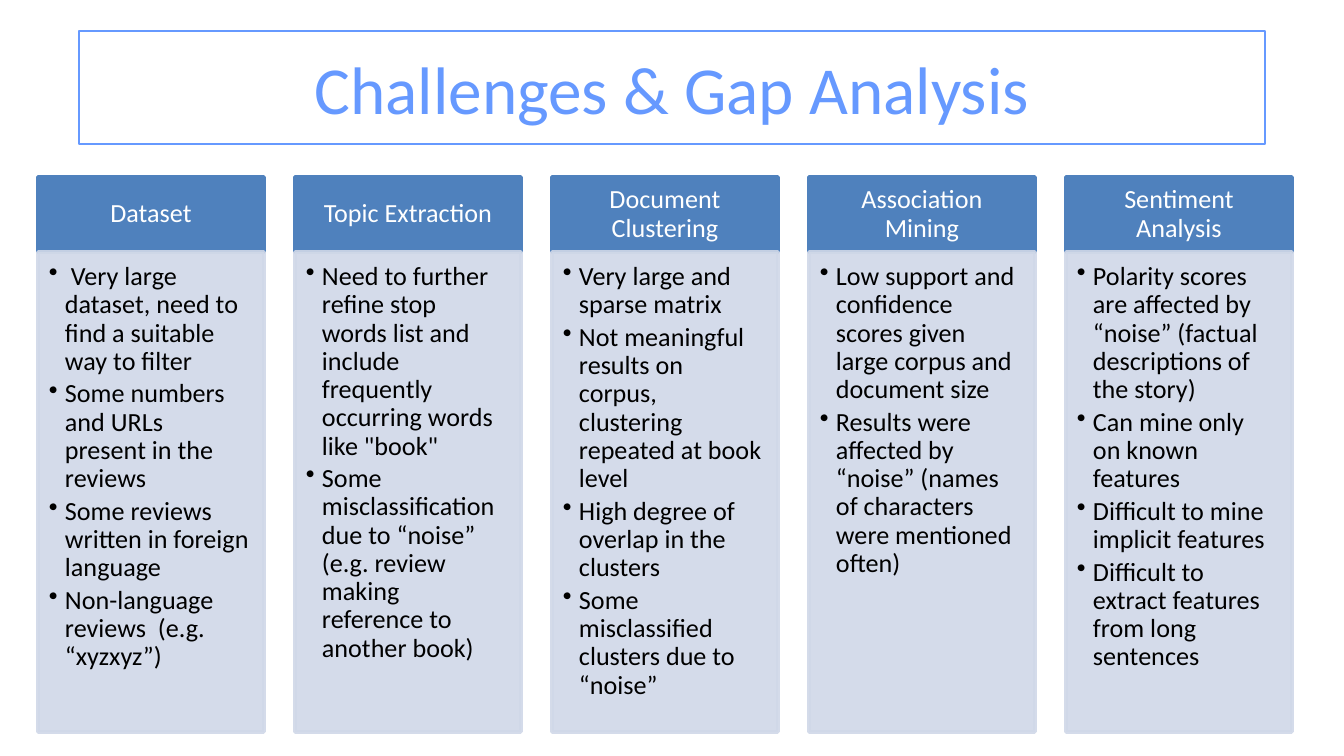
"""Build the Challenges & Gap Analysis slide: five headed columns of bullets."""
import pptx
import pptx.dml.color
import pptx.enum.shapes
import pptx.enum.text
import pptx.oxml
import pptx.oxml.ns
import pptx.util
from lxml import etree

TITLE = "Challenges & Gap Analysis"
COLUMNS = [
    ("Dataset", [
        " Very large dataset, need to find a suitable way to filter",
        "Some numbers and URLs present in the reviews",
        "Some reviews written in foreign language",
        "Non-language reviews  (e.g. “xyzxyz”)",
    ]),
    ("Topic Extraction", [
        "Need to further refine stop words list and include frequently occurring words like \"book\"",
        "Some misclassification due to “noise” (e.g. review making reference to another book)",
    ]),
    ("Document Clustering", [
        "Very large and sparse matrix",
        "Not meaningful results on corpus, clustering repeated at book level",
        "High degree of overlap in the clusters",
        "Some misclassified clusters due to “noise”",
    ]),
    ("Association Mining", [
        "Low support and confidence scores given large corpus and document size",
        "Results were affected by “noise” (names of characters were mentioned often)",
    ]),
    ("Sentiment Analysis", [
        "Polarity scores are affected by “noise” (factual descriptions of the story)",
        "Can mine only on known features",
        "Difficult to mine implicit features",
        "Difficult to extract features from long sentences",
    ]),
]

WHITE = pptx.dml.color.RGBColor(0xFF, 0xFF, 0xFF)
BLACK = pptx.dml.color.RGBColor(0x00, 0x00, 0x00)
SKY = pptx.dml.color.RGBColor(0x66, 0x99, 0xFF)
BLUE = pptx.dml.color.RGBColor(0x4F, 0x81, 0xBD)
PALE = pptx.dml.color.RGBColor(0xD0, 0xD8, 0xE8)
FONT = "Calibri"
ALIGN = pptx.enum.text.PP_ALIGN
ANCHOR = pptx.enum.text.MSO_ANCHOR
LEFT, PITCH, WIDTH = 38, 257, 226
HEAD_TOP, HEAD_HEIGHT, BODY_HEIGHT = 177, 75, 480
INDENT = 16


def px(n):
    return pptx.util.Emu(round(n * 914400 / 134.4))


def style_box(sp, fill, line, width):
    sp.fill.solid()
    sp.fill.fore_color.rgb = fill
    sp.line.color.rgb = line
    sp.line.width = pptx.util.Pt(width)


def style_font(p, size, color):
    p.font.name = FONT
    p.font.size = pptx.util.Pt(size)
    p.font.color.rgb = color


def add_box(s, x, y, h, color, texts, text_color, align, anchor, insets):
    sp = s.shapes.add_shape(pptx.enum.shapes.MSO_SHAPE.RECTANGLE, px(x), px(y), px(WIDTH), px(h))
    sp.shadow.inherit = False
    style_box(sp, color, color, 2)
    tf = sp.text_frame
    tf.word_wrap = True
    tf.vertical_anchor = anchor
    tf.margin_left, tf.margin_top, tf.margin_right, tf.margin_bottom = map(px, insets)
    tf.text = "\n".join(texts)
    for p in tf.paragraphs:
        p.alignment = align
        p.line_spacing = 0.9
        style_font(p, 14, text_color)
    return sp


def make_translucent(sp, percent):
    for color in sp._element.spPr.iter(pptx.oxml.ns.qn("a:srgbClr")):
        etree.SubElement(color, pptx.oxml.ns.qn("a:alpha"), val=str(percent * 1000))


def add_bullet(p):
    p.space_after = pptx.util.Pt(2.3)
    pPr = p._p.get_or_add_pPr()
    pPr.set("marL", str(px(INDENT)))
    pPr.set("indent", str(-px(INDENT)))
    bullet = pptx.oxml.parse_xml(f'<a:buChar {pptx.oxml.ns.nsdecls("a")} char="•"/>')
    pPr.find(pptx.oxml.ns.qn("a:spcAft")).addnext(bullet)


def main():
    prs = pptx.Presentation()
    prs.slide_width, prs.slide_height = px(1344), px(756)
    s = prs.slides.add_slide(prs.slide_layouts[5])

    title = s.shapes.title
    title.left, title.top, title.width, title.height = map(px, (79, 31, 1186, 113))
    style_box(title, WHITE, SKY, 0.75)
    tf = title.text_frame
    tf.text = TITLE
    tf.auto_size = pptx.enum.text.MSO_AUTO_SIZE.NONE
    tf.vertical_anchor = ANCHOR.MIDDLE
    tf.paragraphs[0].alignment = ALIGN.CENTER
    style_font(tf.paragraphs[0], 36, SKY)

    for i, (heading, points) in enumerate(COLUMNS):
        x = LEFT + i * PITCH
        add_box(s, x, HEAD_TOP, HEAD_HEIGHT, BLUE, [heading], WHITE,
                ALIGN.CENTER, ANCHOR.MIDDLE, (15, 8, 15, 8))
        body = add_box(s, x, HEAD_TOP + HEAD_HEIGHT, BODY_HEIGHT, PALE, points, BLACK,
                       ALIGN.LEFT, ANCHOR.TOP, (11, 11, 15, 16))
        make_translucent(body, 90)
        for p in body.text_frame.paragraphs:
            add_bullet(p)

    prs.save("out.pptx")


if __name__ == "__main__":
    main()
